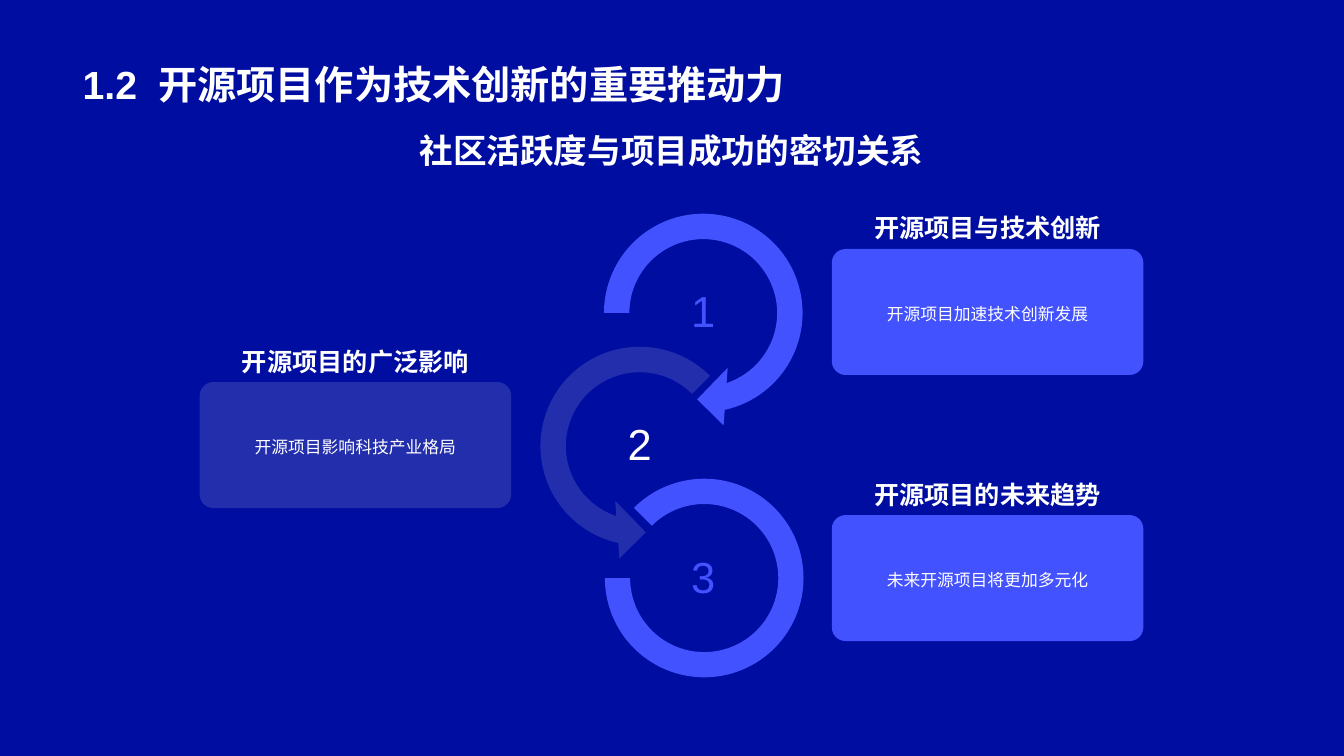
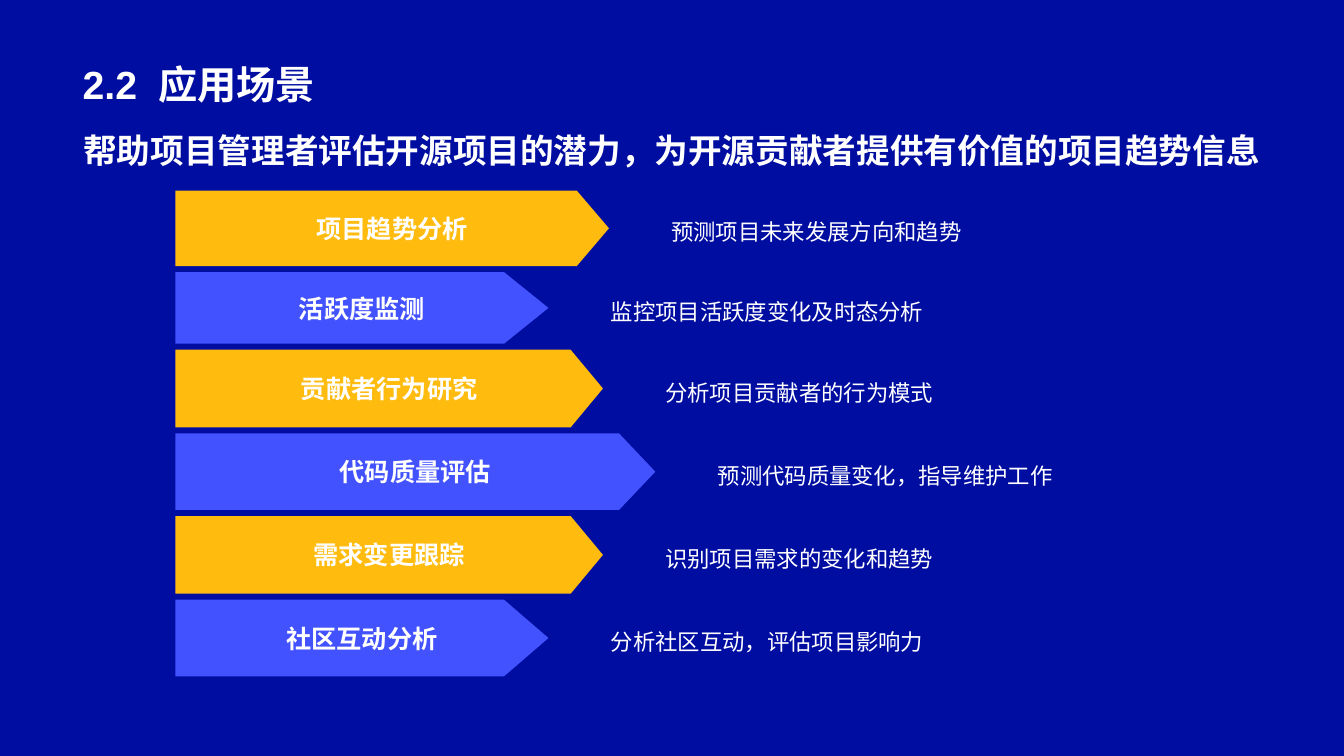
from lxml.etree import SubElement
from pptx import Presentation
from pptx.dml.color import RGBColor
from pptx.enum.shapes import MSO_SHAPE as Geo
from pptx.enum.text import MSO_ANCHOR as Anchor, MSO_AUTO_SIZE as Fit, PP_ALIGN as Align
from pptx.oxml.ns import qn
from pptx.util import Inches as In, Pt

HUE = dict(back="000DA1", text="FFFFFF", blue="4352FF", gold="FFBB0E", mist="F0F0F0")
FONT = "Arial"
LEFT, WIDE = 0.72, 11.88

CYCLE = dict(
    title=("1.2", "开源项目作为技术创新的重要推动力"),
    lead="社区活跃度与项目成功的密切关系",
    # heading, body, card left, digit left, fill, opacity %, digit colour
    cards=[
        ("开源项目与技术创新", "开源项目加速技术创新发展", 8.25, 6.34, "blue", 100, "blue"),
        ("开源项目的广泛影响", "开源项目影响科技产业格局", 1.98, 5.71, "mist", 15, "text"),
        ("开源项目的未来趋势", "未来开源项目将更加多元化", 8.25, 6.34, "blue", 100, "blue"),
    ],
    # preset, left, rise above the card, size, adjustments
    rings=[
        (Geo.CIRCULAR_ARROW, 5.83, 0.51, 2.29, (0.11, 11.42, 45, 108, 0.125)),
        (Geo.LEFT_CIRCULAR_ARROW, 5.2, 0.51, 2.29, (0.11, 11.42, 63, 189, 0.125)),
        (Geo.BLOCK_ARC, 6, 0.36, 1.97, (135, 108, 0.127)),
    ],
)
USES = dict(
    title=("2.2", "应用场景"),
    lead="帮助项目管理者评估开源项目的潜力，为开源贡献者提供有价值的项目趋势信息",
    # label, note, width, height, depth of the tip
    bars=[
        ("项目趋势分析", "预测项目未来发展方向和趋势", 4.3, 0.75, 0.32),
        ("活跃度监测", "监控项目活跃度变化及时态分析", 3.7, 0.71, 0.44),
        ("贡献者行为研究", "分析项目贡献者的行为模式", 4.24, 0.77, 0.32),
        ("代码质量评估", "预测代码质量变化，指导维护工作", 4.76, 0.76, 0.36),
        ("需求变更跟踪", "识别项目需求的变化和趋势", 4.24, 0.77, 0.32),
        ("社区互动分析", "分析社区互动，评估项目影响力", 3.7, 0.76, 0.44),
    ],
)


def rgb(name):
    return RGBColor.from_string(HUE[name])


def write(shape, text, size, bold=False, hue="text", align=Align.CENTER,
          anchor=Anchor.MIDDLE, pad=(0.1, 0.05), space=1.0):
    frame = shape.text_frame
    frame.word_wrap, frame.auto_size = True, Fit.NONE
    frame.vertical_anchor = anchor
    frame.margin_left = frame.margin_right = In(pad[0])
    frame.margin_top = frame.margin_bottom = In(pad[1])
    para = frame.paragraphs[0]
    para.alignment, para.line_spacing = align, space
    run = para.add_run()
    run.text = text
    font = run.font
    font.name, font.size, font.bold = FONT, Pt(size), bold
    font.color.rgb = rgb(hue)
    return para


def label(slide, box, text, size, **style):
    write(slide.shapes.add_textbox(*map(In, box)), text, size, **style)


def paint(shape, hue, alpha=100):
    """Fill flat, without line or shadow; alpha is the opacity in percent."""
    shape.shadow.inherit = False
    shape.line.fill.background()
    shape.fill.solid()
    shape.fill.fore_color.rgb = rgb(hue)
    if alpha < 100:
        tint = shape.element.spPr.find(qn("a:solidFill")).find(qn("a:srgbClr"))
        SubElement(tint, qn("a:alpha"), val=str(alpha * 1000))


def preset(slide, kind, box, adjust, hue, alpha):
    shape = slide.shapes.add_shape(kind, *map(In, box))
    for i, value in enumerate(adjust):
        shape.adjustments[i] = value
    paint(shape, hue, alpha)
    return shape


def start(deck, data):
    """Add a slide with its numbered title and lead line."""
    slide = deck.slides.add_slide(deck.slide_layouts[5])
    title = slide.shapes.title
    title.left, title.top, title.width, title.height = map(In, (LEFT, 0.14, WIDE, 0.98))
    para = write(title, "\t".join(data["title"]), 28, bold=True,
                 align=Align.LEFT, anchor=Anchor.BOTTOM)
    tabs = SubElement(para._p.get_or_add_pPr(), qn("a:tabLst"))
    SubElement(tabs, qn("a:tab"), pos=str(In(0.75)), algn="l")
    label(slide, (LEFT, 1.24, WIDE, 0.5), data["lead"], 24, bold=True, anchor=Anchor.TOP)
    return slide


def cycle(deck):
    slide = start(deck, CYCLE)
    top, step, wide, high = 2.47, 1.32, 3.09, 1.25
    for i, (card, ring) in enumerate(zip(CYCLE["cards"], CYCLE["rings"])):
        head, body, left, mid, hue, alpha, ink = card
        kind, x, rise, size, adjust = ring
        y = top + i * step
        preset(slide, kind, (x, y - rise, size, size), adjust, hue, alpha)
        label(slide, (mid, y + 0.32, 1.27, 0.64), str(i + 1), 31, hue=ink,
              pad=(0.02, 0.02), space=0.9)
        panel = preset(slide, Geo.ROUNDED_RECTANGLE, (left, y, wide, high),
                       (0.109,), hue, alpha)
        write(panel, body, 12, pad=(0.2, 0.08), space=1.2)
        label(slide, (left, y - 0.49, wide, 0.48), head, 18, bold=True,
              anchor=Anchor.BOTTOM)


def uses(deck):
    slide = start(deck, USES)
    left, y, gap, tall = 1.74, 1.89, 0.06, 0.67
    for i, (name, note, wide, high, tip) in enumerate(USES["bars"]):
        end, neck, mid, low = left + wide, left + wide - tip, y + high / 2, y + high
        path = slide.shapes.build_freeform(In(neck), In(y))
        spots = [(left, y), (left, low), (neck, low), (end, mid)]
        path.add_line_segments([(In(a), In(b)) for a, b in spots])
        bar = path.convert_to_shape()
        paint(bar, ("gold", "blue")[i % 2])
        write(bar, name, 18, bold=True)
        label(slide, (end + 0.52, mid - tall / 2 + 0.01, 4.12, tall), note, 16,
              align=Align.LEFT, space=1.2)
        y = low + gap


def main():
    deck = Presentation()
    deck.slide_width, deck.slide_height = In(13.33), In(7.5)
    fill = deck.slide_master.background.fill
    fill.solid()
    fill.fore_color.rgb = rgb("back")
    cycle(deck)
    uses(deck)
    deck.save("out.pptx")


if __name__ == "__main__":
    main()
